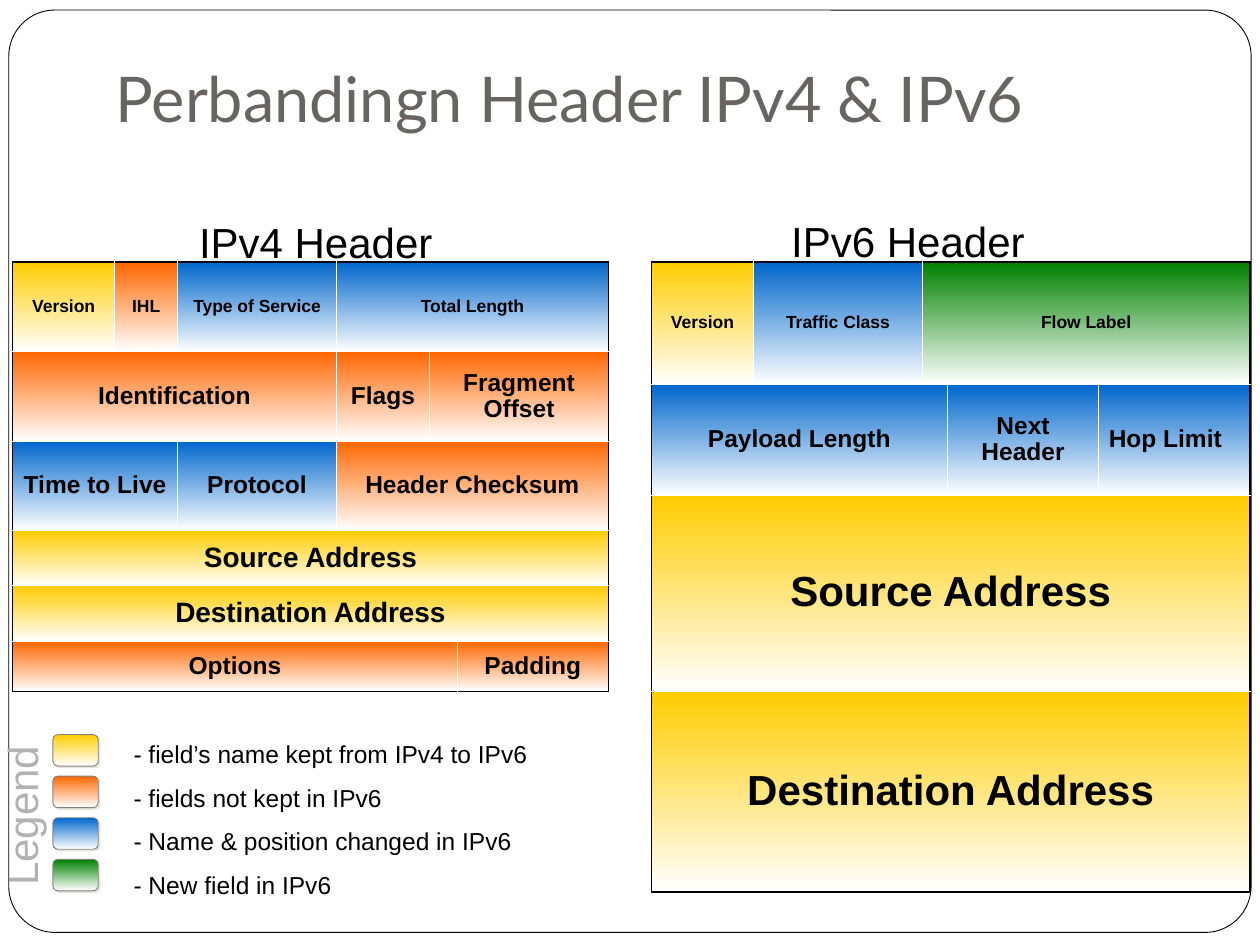
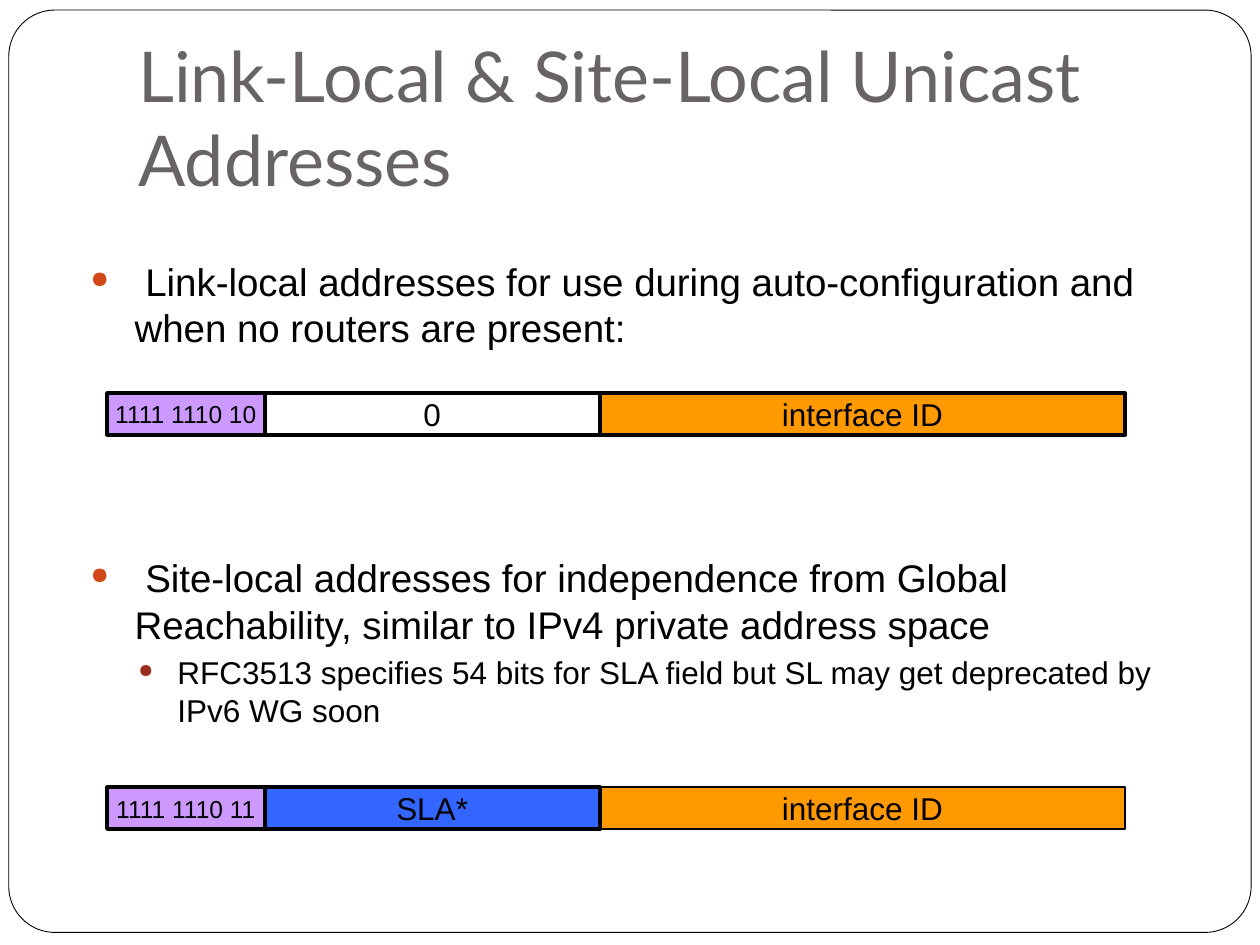
from lxml.etree import SubElement
from pptx import Presentation
from pptx.dml.color import RGBColor
from pptx.enum.shapes import MSO_CONNECTOR as Connector, MSO_SHAPE as Shape
from pptx.enum.text import MSO_ANCHOR as Anchor, PP_ALIGN as Align
from pptx.oxml.ns import qn
from pptx.util import Inches, Pt

WIDTH, HEIGHT = 10, 7.5
BODY_FONT, TITLE_FONT = "Arial", "Lato"
COLOURS = {
    "black": "000000", "white": "FFFFFF", "title": "696464",
    "kept": "FFCC00", "dropped": "FF6600", "changed": "0066CC", "new": "008000",
    "swatch line": "808080", "swatch shadow": "E9E5DC", "legend": "B2B2B2",
    "prefix": "CC99FF", "subnet": "3366FF", "interface": "FF9900",
    "bullet": "D34817", "sub-bullet": "9B2D1F",
}

# Each header row: height, text size, fields as (name, status, columns spanned)
HEADERS = [
    {
        "caption": "IPv4 Header", "caption_at": (1.5, 1.68), "at": (0.1, 2.08),
        "columns": [0.81, 0.5, 1.26, 0.74, 0.22, 1.2],
        "rows": [
            (0.71, 10, [("Version", "kept", 1), ("IHL", "dropped", 1),
                        ("Type of Service", "changed", 1), ("Total Length", "changed", 3)]),
            (0.71, 14, [("Identification", "dropped", 3), ("Flags", "dropped", 1),
                        ("Fragment Offset", "dropped", 2)]),
            (0.71, 14, [("Time to Live", "changed", 2), ("Protocol", "changed", 1),
                        ("Header Checksum", "dropped", 3)]),
            (0.44, 16, [("Source Address", "kept", 6)]),
            (0.44, 16, [("Destination Address", "kept", 6)]),
            (0.4, 14, [("Options", "dropped", 5), ("Padding", "dropped", 1)]),
        ],
    },
    {
        "caption": "IPv6 Header", "caption_at": (6.2, 1.67), "at": (5.17, 2.08),
        "columns": [0.81, 1.34, 0.2, 1.2, 1.2],
        "rows": [
            (0.97, 10, [("Version", "kept", 1), ("Traffic Class", "changed", 1),
                        ("Flow Label", "new", 3)]),
            (0.88, 14, [("Payload Length", "changed", 3), ("Next Header", "changed", 1),
                        ("Hop Limit", "changed", 1)]),
            (1.56, 24, [("Source Address", "kept", 5)]),
            (1.59, 24, [("Destination Address", "kept", 5)]),
        ],
    },
]
CAPTION_SIZE = (2.4, 0.48)
LEFT_ALIGNED_FIELDS = {"Hop Limit"}
LEGEND = {
    "kept": "- field’s name kept from IPv4 to IPv6",
    "dropped": "- fields not kept in IPv6",
    "changed": "- Name & position changed in IPv6",
    "new": "- New field in IPv6",
}

# text, size, bullet colour, left margin, hanging indent, space before
BULLETS = [
    (" Link-local addresses for use during auto-configuration and when no routers"
     " are present:", 22, "bullet", 0.47, 0.35, 0),
    (" Site-local addresses for independence from Global Reachability, similar to"
     " IPv4 private address space", 22, "bullet", 0.47, 0.35, 116.5),
    ("RFC3513 specifies 54 bits for SLA field but SL may get deprecated by IPv6 WG soon",
     18, "sub-bullet", 0.81, 0.31, 3.7),
]
ADDRESS_LEFT, ADDRESS_HEIGHT = 0.85, 0.33
ADDRESS_WIDTHS = [1.25, 2.66, 4.17]
# top, fields as (text, size, fill, line width)
ADDRESSES = [
    (3.12, [("1111 1110 10", 14, "prefix", 2.25), ("0", 18, "white", 2.25),
            ("interface ID", 18, "interface", 2.25)]),
    (6.25, [("1111 1110 11", 14, "prefix", 2.25), ("SLA*", 18, "subnet", 2.25),
            ("interface ID", 18, "interface", 1.12)]),
]


def rgb(name):
    return RGBColor.from_string(COLOURS[name])


def set_all(target, **values):
    for name, value in values.items():
        setattr(target, name, value)


def inset(target, left, top, right, bottom):
    set_all(target, margin_left=Inches(left), margin_top=Inches(top),
            margin_right=Inches(right), margin_bottom=Inches(bottom))


def write(para, text, size, colour="black", font=BODY_FONT, bold=False, **layout):
    set_all(para, **layout)
    span = para.add_run()
    span.text = text
    set_all(span.font, size=Pt(size), name=font, bold=bold)
    span.font.color.rgb = rgb(colour)


def add_text(page, at, texts, size, insets=(0.09, 0.04, 0.09, 0.04),
             anchor=Anchor.TOP, gap=0, **style):
    box = page.shapes.add_textbox(*map(Inches, at))
    frame = box.text_frame
    set_all(frame, word_wrap=True, vertical_anchor=anchor)
    inset(frame, *insets)
    for index, text in enumerate(texts):
        para = frame.add_paragraph() if index else frame.paragraphs[0]
        if index:
            para.space_before = Pt(gap)
        write(para, text, size, **style)
    return box


def add_box(page, kind, at, line, line_width, fill=None):
    box = page.shapes.add_shape(kind, *map(Inches, at))
    box.shadow.inherit = False
    box.line.color.rgb = rgb(line)
    box.line.width = Pt(line_width)
    if fill:
        box.fill.solid()
        box.fill.fore_color.rgb = rgb(fill)
    return box


def fade(fill, colour):
    """Fill from the colour at the top to white at the bottom."""
    fill.gradient()
    fill.gradient_angle = 270
    for stop, name in zip(fill.gradient_stops, (colour, "white")):
        stop.color.rgb = rgb(name)


def add_page(deck, title, at, size, anchor, insets):
    page = deck.slides.add_slide(deck.slide_layouts[6])
    frame = add_box(page, Shape.ROUNDED_RECTANGLE, (0.07, 0.08, WIDTH - 0.14, HEIGHT - 0.18),
                    "black", 0.5, "white")
    frame.adjustments[0] = 0.05
    add_text(page, at, [title], size, insets, anchor=anchor, colour="title", font=TITLE_FONT)
    return page


def set_borders(cell, outer):
    """Draw table-edge sides black and the rest thin white."""
    properties = cell._tc.get_or_add_tcPr()
    for index, side in enumerate("LRTB"):
        colour, width = ("black", 1.08) if side in outer else ("white", 0.45)
        line = SubElement(properties, qn(f"a:ln{side}"), w=str(Pt(width)))
        SubElement(SubElement(line, qn("a:solidFill")), qn("a:srgbClr"), val=COLOURS[colour])
        properties.insert(index, line)


def outer_sides(row, first, last, row_count, column_count):
    edges = {"L": first == 0, "R": last == column_count - 1,
             "T": row == 0, "B": row == row_count - 1}
    return [side for side, is_outer in edges.items() if is_outer]


def add_header(page, header):
    columns, rows = header["columns"], header["rows"]
    size = sum(columns), sum(height for height, _, _ in rows)
    table = page.shapes.add_table(len(rows), len(columns),
                                  *map(Inches, header["at"] + size)).table
    set_all(table, first_row=False, horz_banding=False)
    for column, width in zip(table.columns, columns):
        column.width = Inches(width)
    for row, (height, text_size, fields) in enumerate(rows):
        table.rows[row].height = Inches(height)
        first = 0
        for name, status, span in fields:
            last = first + span - 1
            for column in range(first, last + 1):
                cell = table.cell(row, column)
                fade(cell.fill, status)
                end = last if column == first else column
                set_borders(cell, outer_sides(row, column, end, len(rows), len(columns)))
            cell = table.cell(row, first)
            if span > 1:
                cell.merge(table.cell(row, last))
            cell.vertical_anchor = Anchor.MIDDLE
            inset(cell, 0.08, 0.05, 0.08, 0.05)
            align = Align.LEFT if name in LEFT_ALIGNED_FIELDS else Align.CENTER
            write(cell.text_frame.paragraphs[0], name, text_size, bold=True,
                  alignment=align, line_spacing=0.95)
            first = last + 1
    add_text(page, header["caption_at"] + CAPTION_SIZE, [header["caption"]], 24,
             (0.08, 0.04, 0.08, 0.04))


def add_legend(page):
    for index, status in enumerate(LEGEND):
        swatch = add_box(page, Shape.ROUNDED_RECTANGLE,
                         (0.42, 5.83 + 0.33 * index, 0.36, 0.25), "swatch line", 0.5)
        fade(swatch.fill, status)
        effects = swatch._element.spPr.find(qn("a:effectLst"))
        shadow = SubElement(effects, qn("a:outerShdw"), dist=str(Pt(1.4)), dir="2700000")
        SubElement(shadow, qn("a:srgbClr"), val=COLOURS["swatch shadow"])
    add_text(page, (0.75, 5.84, 3.75, 1.34), LEGEND.values(), 14, (0.31, 0.04, 0.09, 0.04),
             gap=8.8, line_spacing=Pt(16))
    label = add_text(page, (-0.49, 6.2, 1.37, 0.47), ["Legend"], 24, colour="legend",
                     line_spacing=0.95)
    label.rotation = 270


def add_bullets(page):
    box = page.shapes.add_textbox(*map(Inches, (0.5, 2, 8.99, 4.42)))
    frame = box.text_frame
    frame.word_wrap = True
    inset(frame, 0.1, 0.05, 0.1, 0.05)
    for index, (text, size, colour, margin, hanging, before) in enumerate(BULLETS):
        para = frame.add_paragraph() if index else frame.paragraphs[0]
        properties = para._p.get_or_add_pPr()
        properties.set("marL", str(Inches(margin)))
        properties.set("indent", str(-Inches(hanging)))
        SubElement(SubElement(properties, qn("a:buClr")), qn("a:srgbClr"), val=COLOURS[colour])
        SubElement(properties, qn("a:buSzPct"), val="60000")
        SubElement(properties, qn("a:buChar"), char="●")
        write(para, text, size, line_spacing=Pt(1.2 * size), space_before=Pt(before))


def add_address(page, top, fields):
    left = ADDRESS_LEFT
    for width, (text, size, fill, line_width) in zip(ADDRESS_WIDTHS, fields):
        box = add_box(page, Shape.RECTANGLE, (left, top, width, ADDRESS_HEIGHT),
                      "black", line_width, fill)
        set_all(box.text_frame, word_wrap=False, vertical_anchor=Anchor.MIDDLE)
        inset(box.text_frame, 0.1, 0.05, 0.1, 0.05)
        write(box.text_frame.paragraphs[0], text, size, alignment=Align.CENTER)
        left += width


def add_divider(page, top):
    left = ADDRESS_LEFT + sum(ADDRESS_WIDTHS[:2])
    divider = page.shapes.add_connector(
        Connector.STRAIGHT, *map(Inches, (left, top, left, top + ADDRESS_HEIGHT)))
    divider.line.color.rgb = rgb("black")
    divider.line.width = Pt(2.25)
    SubElement(divider._element.spPr, qn("a:effectLst"))


def main():
    deck = Presentation()
    set_all(deck, slide_width=Inches(WIDTH), slide_height=Inches(HEIGHT))

    page = add_page(deck, "Perbandingn Header IPv4 & IPv6", (0.82, 0.14, 8.34, 1.03), 36,
                    Anchor.BOTTOM, (0.1, 0.05, 0.1, 0.1))
    for header in HEADERS:
        add_header(page, header)
    add_legend(page)

    page = add_page(deck, "Link-Local & Site-Local Unicast Addresses", (1, 0.3, 8.5, 1.25), 40,
                    Anchor.MIDDLE, (0.1, 0.05, 0.1, 0.05))
    add_bullets(page)
    for top, fields in ADDRESSES:
        add_address(page, top, fields)
    add_divider(page, ADDRESSES[-1][0])

    deck.save("out.pptx")


if __name__ == "__main__":
    main()
